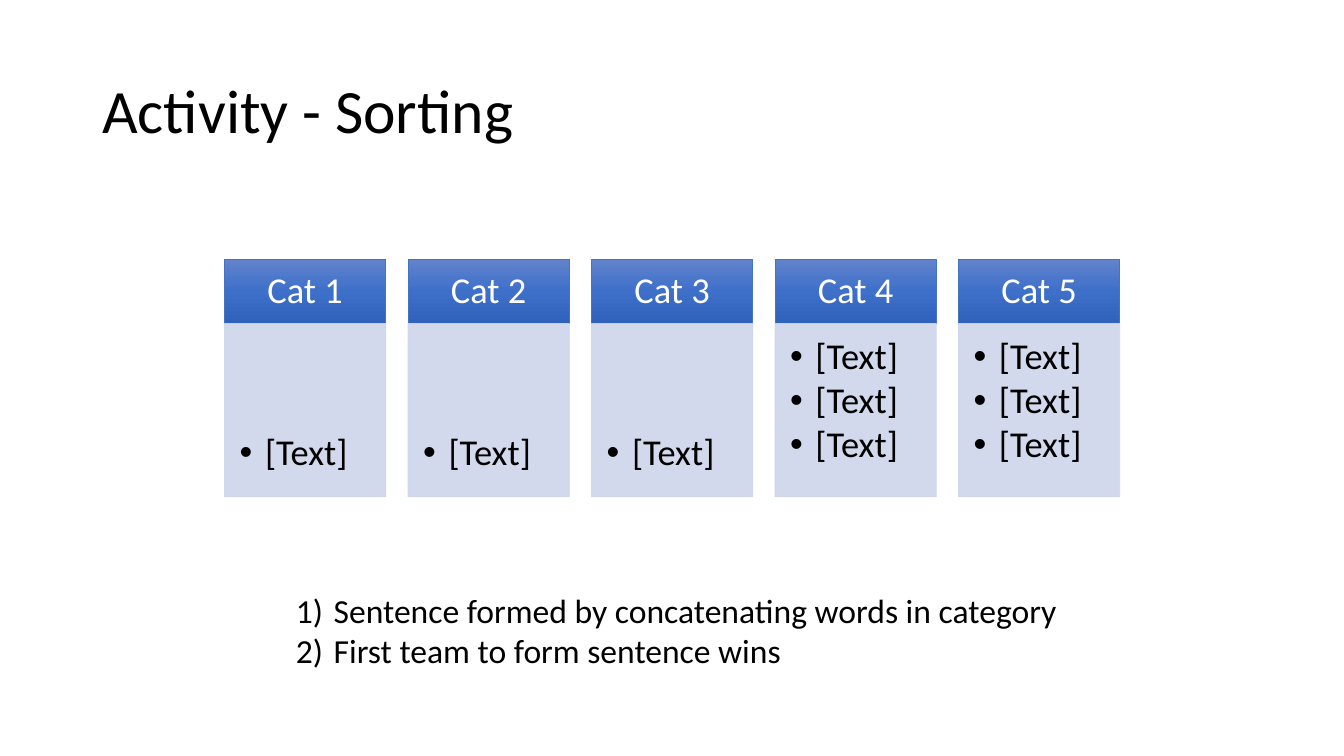
from copy import deepcopy

from lxml import etree
from pptx import Presentation
from pptx.dml.color import RGBColor
from pptx.enum.shapes import MSO_SHAPE
from pptx.enum.text import MSO_ANCHOR, PP_ALIGN
from pptx.oxml.ns import qn
from pptx.util import Cm, Pt

RECTANGLE = MSO_SHAPE.RECTANGLE
TOP, MIDDLE, BOTTOM = MSO_ANCHOR.TOP, MSO_ANCHOR.MIDDLE, MSO_ANCHOR.BOTTOM
LEFT, CENTER = PP_ALIGN.LEFT, PP_ALIGN.CENTER

FONT = "Calibri"
COLORS = {
    "text": "000000",
    "header_text": "FFFFFF",
    "header_top": "6183CB",
    "header_middle": "3E70CA",
    "header_bottom": "3062BB",
    "header_line": "4472C4",
    "body": "CFD5EA",
}
HEADER_STOPS = [("header_top", 0), ("header_middle", 0.5), ("header_bottom", 1)]
BULLET = ("a:buChar", {"char": "•"})
NUMBER = ("a:buAutoNum", {"type": "arabicParenR"})
CATEGORIES = [
    ("Cat 1", ["[Text]"]),
    ("Cat 2", ["[Text]"]),
    ("Cat 3", ["[Text]"]),
    ("Cat 4", ["[Text]"] * 3),
    ("Cat 5", ["[Text]"] * 3),
]
RULES = [
    "Sentence formed by concatenating words in category",
    "First team to form sentence wins",
]


def rgb(name):
    return RGBColor.from_string(COLORS[name])


def write(holder, lines, size, color="text", align=LEFT, anchor=TOP, spacing=1.0,
          gap=0, marker=None, indent=0, insets=(0.25, 0.13, 0.25, 0.13), wrap=True):
    frame = holder.text_frame
    frame.word_wrap = wrap
    frame.vertical_anchor = anchor
    frame.margin_left, frame.margin_top, frame.margin_right, frame.margin_bottom = map(Cm, insets)
    for number, line in enumerate(lines):
        paragraph = frame.add_paragraph() if number else frame.paragraphs[0]
        paragraph.alignment = align
        paragraph.line_spacing = spacing
        paragraph.space_before = Pt(gap if number else 0)
        run = paragraph.add_run()
        run.text = line
        run.font.name = FONT
        run.font.size = Pt(size)
        run.font.color.rgb = rgb(color)
        if marker:
            properties = paragraph._p.get_or_add_pPr()
            properties.set("marL", str(Cm(indent)))
            properties.set("indent", str(-Cm(indent)))
            etree.SubElement(properties, qn("a:buFont"), typeface="Arial")
            tag, attributes = marker
            etree.SubElement(properties, qn(tag), attributes)


def add_box(slide, left, top, width, height, line):
    box = slide.shapes.add_shape(RECTANGLE, Cm(left), Cm(top), Cm(width), Cm(height))
    box.shadow.inherit = False
    box.line.color.rgb = rgb(line)
    box.line.width = Pt(0.5)
    return box


def fill_header(header):
    header.fill.gradient()
    header.fill.gradient_angle = 270
    stop_list = header._element.spPr.find(".//" + qn("a:gsLst"))
    stop_list.append(deepcopy(stop_list[0]))
    for stop, (color, position) in zip(header.fill.gradient_stops, HEADER_STOPS):
        stop.color.rgb = rgb(color)
        stop.position = position


def fill_body(body):
    body.fill.solid()
    body.fill.fore_color.rgb = rgb("body")
    for color in body._element.spPr.iter(qn("a:srgbClr")):
        etree.SubElement(color, qn("a:alpha"), val="90000")


def add_title(slide, left, top, width, height):
    title = slide.shapes.add_textbox(Cm(left), Cm(top), Cm(width), Cm(height))
    write(title, ["Activity - Sorting"], 44, anchor=MIDDLE, spacing=0.9)


def add_category(slide, name, words, left, top, width, height):
    header_height = 1.62
    header = add_box(slide, left, top, width, header_height, "header_line")
    fill_header(header)
    write(header, [name], 26, color="header_text", align=CENTER, anchor=MIDDLE,
          spacing=0.9, insets=(0.5, 0.3, 0.5, 0.3))

    body = add_box(slide, left, top + header_height, width, height - header_height, "body")
    fill_body(body)
    write(body, words, 26, anchor=BOTTOM if len(words) == 1 else TOP, spacing=0.9,
          gap=3.3, marker=BULLET, indent=0.64, insets=(0.38, 0.38, 0.5, 0.58))


def add_categories(slide, left, top, width, height):
    gap = 0.56
    column = (width + gap) / len(CATEGORIES) - gap
    for number, (name, words) in enumerate(CATEGORIES):
        add_category(slide, name, words, left + number * (column + gap), top, column, height)


def add_rules(slide, left, top, width, height):
    rules = slide.shapes.add_textbox(Cm(left), Cm(top), Cm(width), Cm(height))
    write(rules, RULES, 24, marker=NUMBER, indent=0.95, wrap=False)


deck = Presentation()
deck.slide_width, deck.slide_height = Cm(33.87), Cm(19.05)
sorting = deck.slides.add_slide(deck.slide_layouts[6])
add_title(sorting, 2.33, 1.01, 29.21, 3.68)
add_categories(sorting, 5.66, 6.53, 22.56, 5.99)
add_rules(sorting, 7.21, 14.73, 19.86, 2.31)
deck.save("out.pptx")
